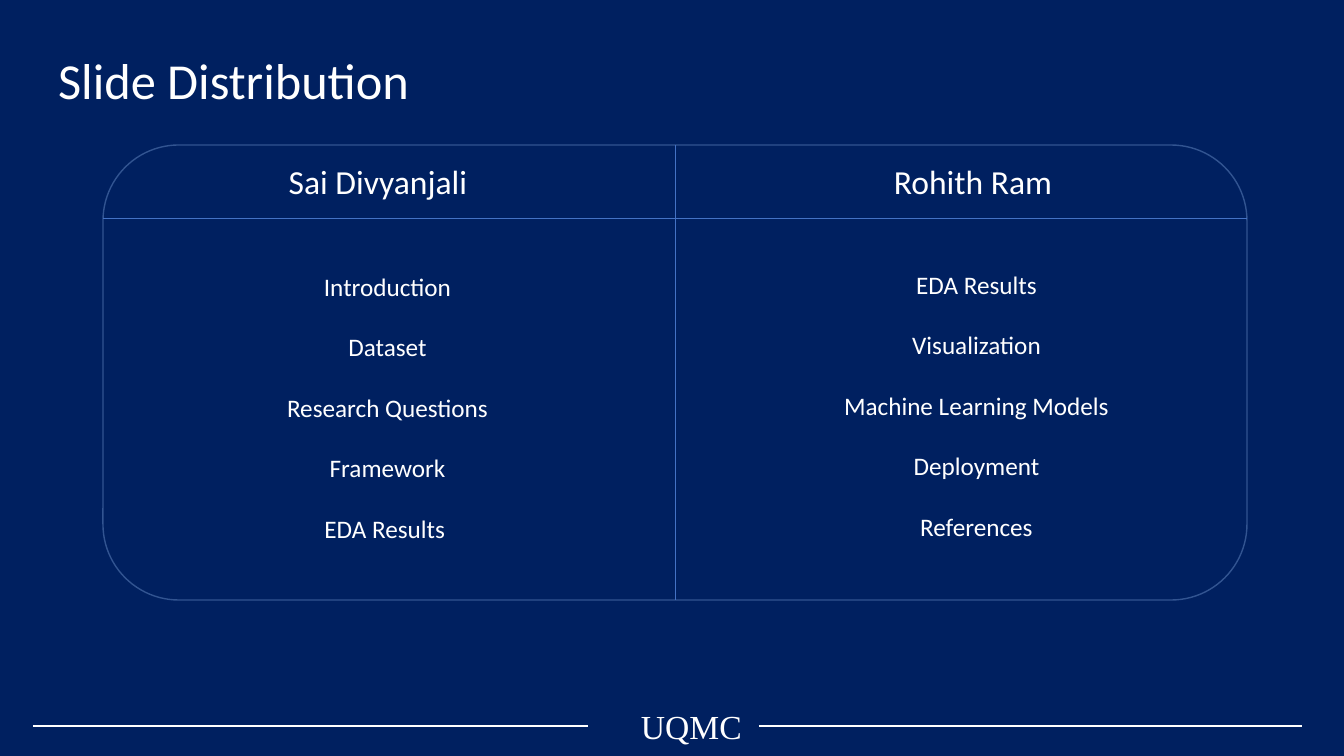
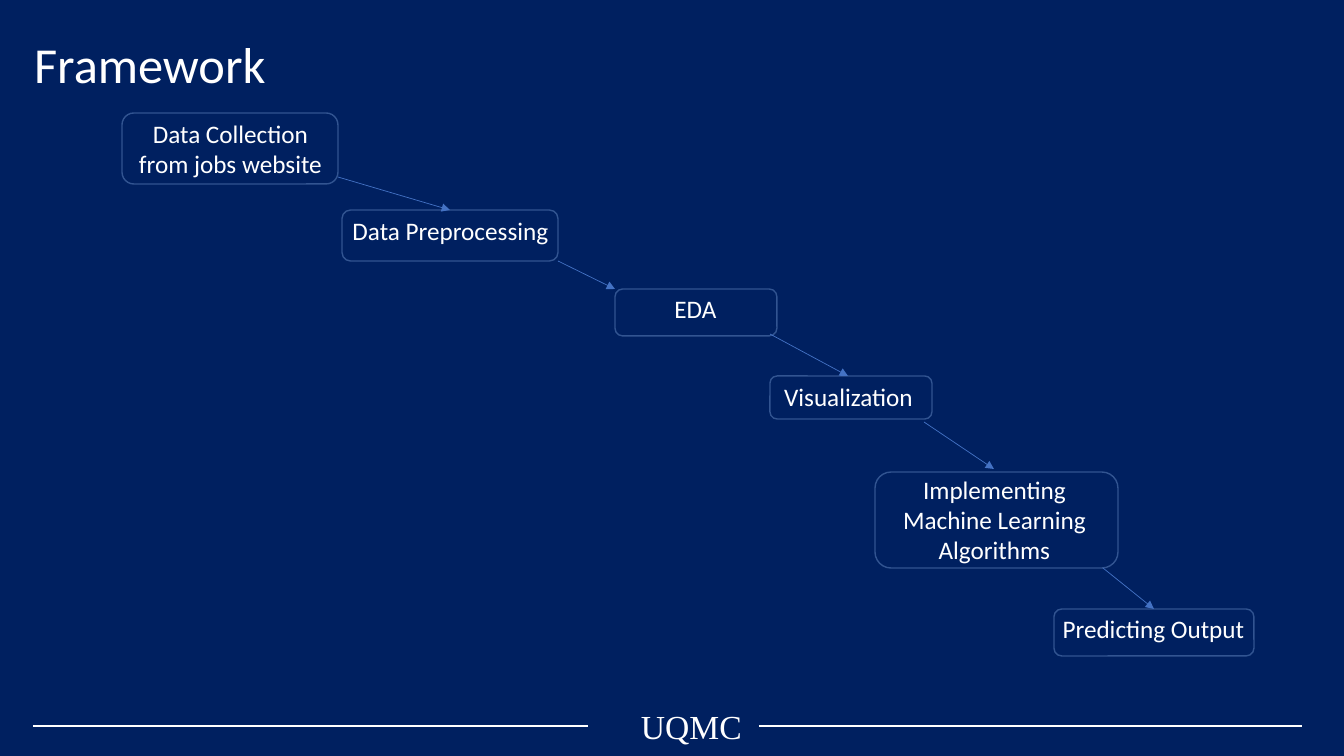
from lxml.etree import SubElement
from pptx import Presentation
from pptx.dml.color import RGBColor
from pptx.enum.shapes import MSO_CONNECTOR, MSO_SHAPE
from pptx.enum.text import MSO_ANCHOR, MSO_AUTO_SIZE, PP_ALIGN
from pptx.oxml.ns import qn
from pptx.util import Pt

SCALE = 914400 / 100.8
HUES = {"back": "002060", "text": "FFFFFF", "edge": "325491", "rule": "4472C4"}
FRAME = {"word_wrap": True, "auto_size": MSO_AUTO_SIZE.NONE,
         "vertical_anchor": MSO_ANCHOR.TOP}
FACE = {"name": "Calibri", "bold": False}
PARA = {"space_before": Pt(0), "line_spacing": 1.0}


def px(n):
    return round(n * SCALE)


def hue(name):
    return RGBColor.from_string(HUES[name])


def put(item, vals):
    for key, val in vals.items():
        setattr(item, key, val)


class Deck:
    def __init__(self):
        self.prs = Presentation()
        put(self.prs, {"slide_width": px(1344), "slide_height": px(756)})
        fill = self.prs.slide_master.background.fill
        fill.solid()
        fill.fore_color.rgb = hue("back")

    # New slide with title and footer
    def start(self, layout, title, box):
        self.slide = self.prs.slides.add_slide(self.prs.slide_layouts[layout])
        self.place(self.slide.shapes.title, box)
        self.label(self.slide.shapes.title, [title], 36, PP_ALIGN.LEFT)
        self.text("UQMC", (631, 701, 128, 50), 24, PP_ALIGN.LEFT,
                  "Times New Roman")
        for left, right in ((33, 588), (759, 1302)):
            self.line((left, 726), (right, 726), "text", 1.5)

    def place(self, shape, box):
        put(shape, dict(zip(("left", "top", "width", "height"), map(px, box))))

    def label(self, shape, lines, size, align, font="Calibri", gap=0):
        frame = shape.text_frame
        put(frame, FRAME)
        frame.text = "\n".join(lines)
        for para in frame.paragraphs:
            put(para, PARA | {"alignment": align, "space_after": Pt(gap)})
            for run in para.runs:
                put(run.font, FACE | {"name": font, "size": Pt(size)})
                run.font.color.rgb = hue("text")

    def text(self, words, box, size, align=PP_ALIGN.CENTER, font="Calibri"):
        shape = self.slide.shapes.add_textbox(*map(px, box))
        self.label(shape, [words], size, align, font)

    # Unbulleted list in a body placeholder
    def list(self, spot, lines, box):
        shape = self.slide.placeholders[spot]
        self.place(shape, box)
        self.label(shape, lines, 18, PP_ALIGN.CENTER, gap=21.6)
        for para in shape.text_frame.paragraphs:
            props = para._p.get_or_add_pPr()
            props.set("marL", "0")
            props.set("indent", "0")
            SubElement(props, qn("a:buNone"))

    def box(self, box):
        shape = self.slide.shapes.add_shape(
            MSO_SHAPE.ROUNDED_RECTANGLE, *map(px, box))
        shape.shadow.inherit = False
        shape.fill.background()
        shape.line.color.rgb = hue("edge")
        shape.line.width = Pt(1)

    def line(self, start, end, tint="rule", width=0.5, arrow=False):
        link = self.slide.shapes.add_connector(
            MSO_CONNECTOR.STRAIGHT, *map(px, start + end))
        link.line.color.rgb = hue(tint)
        link.line.width = Pt(width)
        props = link._element.spPr
        if arrow:
            SubElement(props.find(qn("a:ln")), qn("a:tailEnd"),
                       type="triangle")
        SubElement(props, qn("a:effectLst"))


deck = Deck()

# Slide distribution: two columns in a rounded panel
deck.start(3, "Slide Distribution", (48, 44, 967, 90))
left, top, wide, high = panel = (103, 145, 1144, 455)
deck.box(panel)
deck.line((left, 218), (left + wide, 218))
deck.line((left + wide // 2, top), (left + wide // 2, top + high))
parts = (
    ("Sai Divyanjali", 229, (129, 266),
     ["Introduction", "Dataset", "Research Questions", "Framework",
      "EDA Results "]),
    ("Rohith Ram", 824, (718, 264),
     ["EDA Results", "Visualization", "Machine Learning Models",
      "Deployment", "References"]),
)
for spot, (name, side, (x, y), topics) in enumerate(parts, 1):
    deck.text(name, (side, 156, 298, 50), 24)
    deck.list(spot, topics, (x, y, 517, 330))

# Framework: steps running down to the right
deck.start(5, "Framework", (24, 28, 1296, 72))
# Label, label left and top, line count, box
steps = (
    ("Data Collection from jobs website", 122, 113, 2, (122, 113, 216, 71)),
    ("Data Preprocessing", 342, 210, 1, (342, 210, 216, 51)),
    ("EDA", 587, 288, 1, (615, 289, 162, 47)),
    ("Visualization", 740, 376, 1, (770, 376, 162, 43)),
    ("Implementing Machine Learning Algorithms", 886, 469, 3,
     (875, 472, 243, 96)),
    ("Predicting Output", 1045, 608, 1, (1054, 609, 200, 47)),
)
for label, x, y, count, frame in steps:
    deck.box(frame)
    deck.text(label, (x, y, 217, 10 + 30 * count), 18)

# Arrows between steps
arrows = (
    ((338, 177), (450, 210)), ((558, 261), (615, 289)),
    ((770, 334), (848, 376)), ((924, 422), (994, 469)),
    ((1103, 568), (1154, 609)),
)
for start, end in arrows:
    deck.line(start, end, arrow=True)

deck.prs.save("out.pptx")
